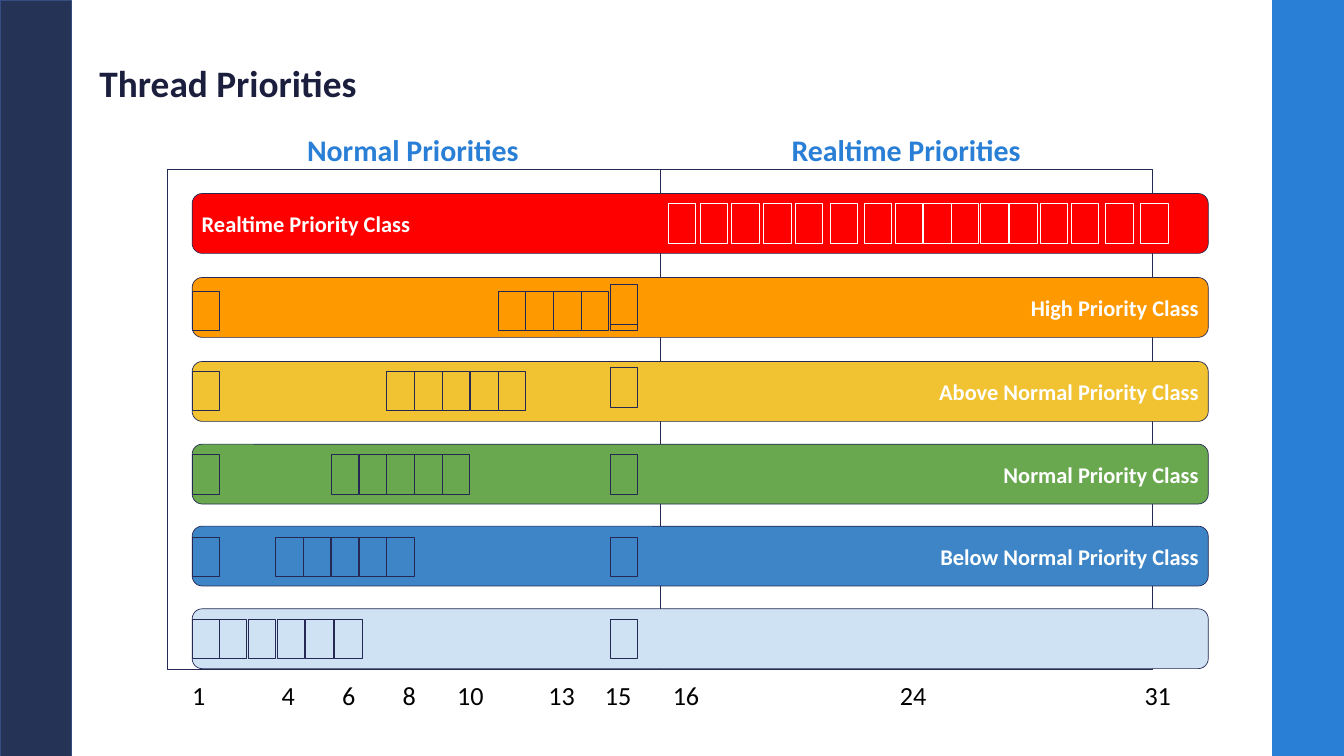
from lxml.etree import SubElement
from pptx import Presentation
from pptx.dml.color import RGBColor
from pptx.enum.shapes import MSO_SHAPE as Shape
from pptx.enum.text import MSO_ANCHOR as Anchor, PP_ALIGN as Align
from pptx.oxml.ns import qn
from pptx.util import Emu, Pt

PX = 9144  # EMU in one px, 100 px to the inch
INK, BLUE, WHITE = "242852", "297FD5", "FFFFFF"
CELL_WIDTH, CELL_HEIGHT = 41, 59
BAR_LEFT, BAR_WIDTH, BAR_HEIGHT = 286, 1512, 89
TOP_LEVEL = 908

# Number and its centre, measured from the left edge of the scale's text
SCALE = {"1": 37, "4": 170, "6": 260, "8": 350, "10": 441,
         "13": 577, "15": 661, "16": 762, "24": 1100, "31": 1464}


def px(*lengths):
    return [Emu(length * PX) for length in lengths]


def colour(code):
    return RGBColor.from_string(code)


def levels(first, last):
    """Left edges of adjoining cells, counted from the start of a bar."""
    return [round(BAR_LEFT + 41.35 * level) for level in range(first, last + 1)]


REALTIME_CELLS = [994, 1042, 1089, 1136, 1183, 1235, 1286, 1332,
                  1374, 1415, 1459, 1502, 1548, 1594, 1645, 1697]
IDLE_CELLS = [BAR_LEFT, 326, 369, 412, 455, 498]

# Label, fill, top of bar, top of cells, left edges of cells
CLASSES = [
    ("Realtime Priority Class", "FF0000", 288, 303, REALTIME_CELLS),
    ("High Priority Class", "FF9900", 413, 433,
     [BAR_LEFT, *levels(11, 14), TOP_LEVEL]),
    ("Above Normal Priority Class", "F1C232", 538, 552,
     [BAR_LEFT, *levels(7, 11)]),
    ("Normal Priority Class", "6AA84F", 661, 676,
     [BAR_LEFT, *levels(5, 9), TOP_LEVEL]),
    ("Below Normal Priority Class", "3D85C6", 783, 799,
     [BAR_LEFT, *levels(3, 7), TOP_LEVEL]),
    (None, "CFE2F3", 906, 921, [*IDLE_CELLS, TOP_LEVEL]),
]


def write(shape, text, size, ink, bold=True, align=Align.LEFT,
          anchor=Anchor.MIDDLE, margin=10, spacing=None):
    frame = shape.text_frame
    frame.word_wrap = True
    frame.vertical_anchor = anchor
    frame.margin_left = frame.margin_right = Emu(10 * PX)
    frame.margin_top = frame.margin_bottom = Emu(margin * PX)
    para = frame.paragraphs[0]
    para.alignment = align
    para.line_spacing = spacing
    span = para.add_run()
    span.text = text
    span.font.name = "Calibri"
    span.font.size = Pt(size)
    span.font.bold = bold
    span.font.color.rgb = colour(ink)
    return para


def add_block(page, left, top, width, height, fill=None, line=INK,
              weight=0.75, kind=Shape.RECTANGLE):
    block = page.shapes.add_shape(kind, *px(left, top, width, height))
    block.shadow.inherit = False
    if fill:
        block.fill.solid()
        block.fill.fore_color.rgb = colour(fill)
    else:
        block.fill.background()
    block.line.color.rgb = colour(line)
    block.line.width = Pt(weight)
    return block


def add_title(page, text):
    title = page.shapes.title
    title.left, title.top, title.width, title.height = px(138, 59, 1725, 136)
    write(title, text, 40, "1B1E3D", margin=5, spacing=0.9)


def add_heading(page, text, left, width):
    box = page.shapes.add_textbox(*px(left, 158, width, 136))
    write(box, text, 32, BLUE, margin=5, spacing=0.9)


def add_cell(page, left, top, **look):
    add_block(page, left, top, CELL_WIDTH, CELL_HEIGHT, **look)


def add_class(page, label, fill, top, cell_top, cells, align, line):
    bar = add_block(page, BAR_LEFT, top, BAR_WIDTH, BAR_HEIGHT, fill,
                    kind=Shape.ROUNDED_RECTANGLE)
    bar.adjustments[0] = 0.167
    if label:
        write(bar, label, 24, WHITE, align=align)
    for left in cells:
        add_cell(page, left, cell_top, line=line)


def add_scale(page):
    """Priority numbers in one line, each centred on a tab stop."""
    box = page.shapes.add_textbox(*px(249, 1001, 1512, 75))
    text = "".join(f"\t{number}" for number in SCALE)
    para = write(box, text, 28, "000000", bold=False, anchor=Anchor.TOP)
    stops = SubElement(para._p.get_or_add_pPr(), qn("a:tabLst"))
    for centre in SCALE.values():
        SubElement(stops, qn("a:tab"), pos=str(centre * PX), algn="ctr")


def main():
    deck = Presentation()
    deck.slide_width, deck.slide_height = px(2000, 1125)
    page = deck.slides.add_slide(deck.slide_layouts[5])

    add_block(page, 0, 0, 106, 1125, "253356", "374C81", 1)
    add_block(page, 1894, 0, 106, 1125, BLUE, BLUE, 1)
    add_title(page, "Thread Priorities")
    for left in (249, 982):
        add_block(page, left, 252, 733, 744, WHITE)
    add_scale(page)
    add_heading(page, "Normal Priorities", 447, 338)
    add_heading(page, "Realtime Priorities", 1168, 362)

    realtime, *others = CLASSES
    add_class(page, *realtime, align=Align.LEFT, line=WHITE)
    for row in others:
        add_class(page, *row, align=Align.RIGHT, line=INK)
    # The top cells of two classes sit a little higher than their rows
    add_cell(page, TOP_LEVEL, 423, fill="FF9900")
    add_cell(page, TOP_LEVEL, 547)

    deck.save("out.pptx")


if __name__ == "__main__":
    main()
